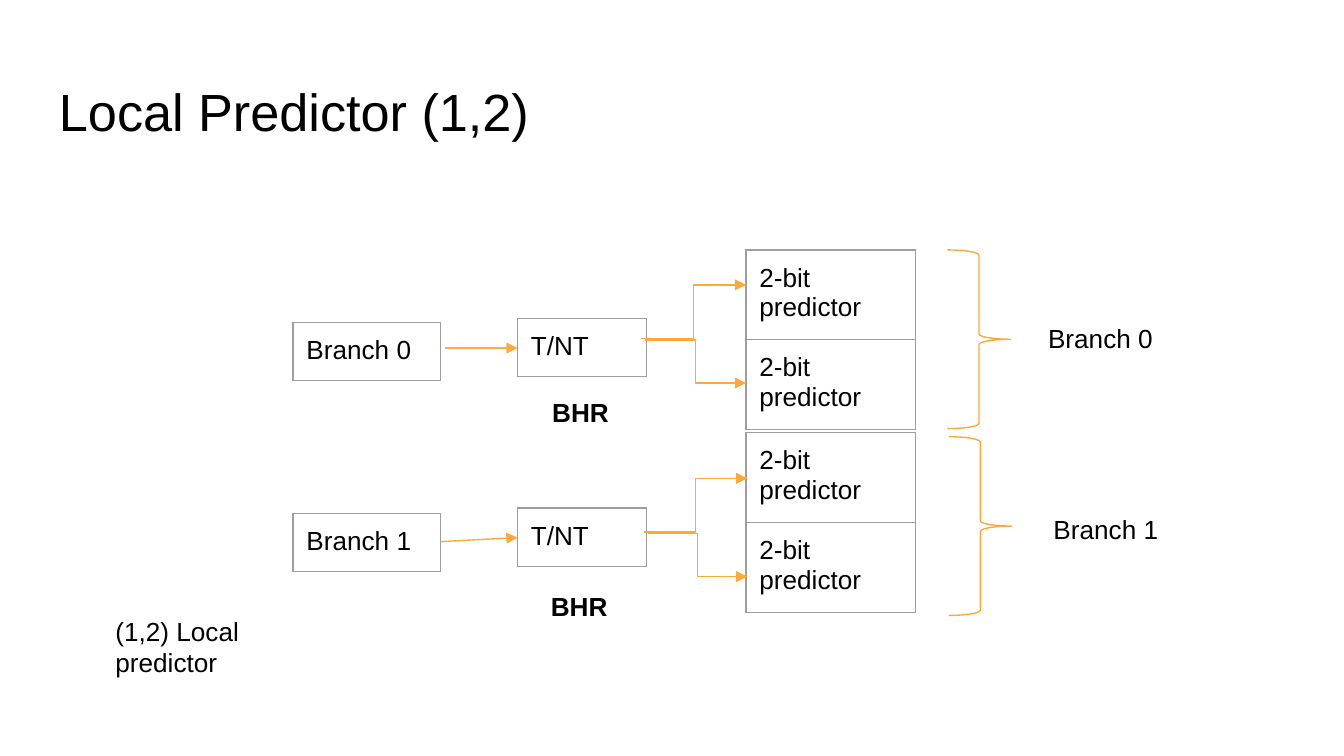
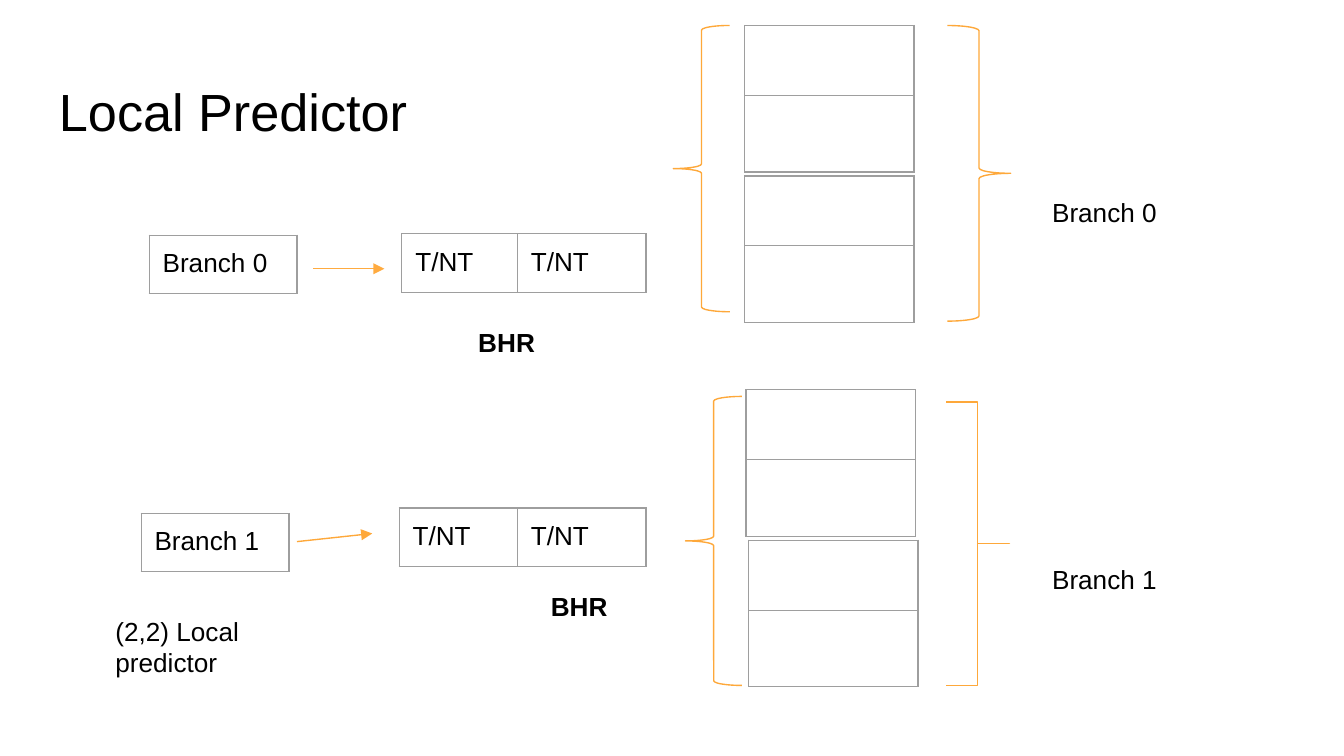
from dataclasses import dataclass
from typing import NamedTuple

from lxml.etree import SubElement as Sub
from pptx import Presentation
from pptx.dml.color import RGBColor as RGB
from pptx.enum.shapes import MSO_CONNECTOR as Link, MSO_SHAPE as Form
from pptx.enum.text import MSO_AUTO_SIZE as Fit
from pptx.oxml import parse_xml
from pptx.oxml.ns import nsdecls, qn
from pptx.util import Inches, Pt

FONT = "Arial"
INK = "000000"
GRAY = "9E9E9E"
AMBER = "FEA83A"
GOLD = "FFAB40"
WIDE = Inches(10)
THIN = 0.75
BODY = 14


class Style(NamedTuple):
    """Size and look shared by one sort of text box."""
    w: float
    h: float
    pad: float = 0.05
    size: int = BODY
    bold: bool = False
    grow: bool = True


HEAD = Style(9.32, 0.63, 0.1, 28, grow=False)
REG = Style(0.71, 0.63, 0.1, bold=True, grow=False)
NAME = Style(1.36, 0.34)
FOOT = Style(1.38, 0.57)


class Note(NamedTuple):
    """Text placed on a slide."""
    text: str
    x: float
    y: float
    style: Style


class Grid(NamedTuple):
    """One-column table with a text for each row."""
    x: float
    y: float
    w: float
    rows: tuple[float, ...]
    texts: tuple[str, ...]
    h: float


class Brace(NamedTuple):
    """Brace that spans a group of predictors."""
    form: Form
    x: float
    y: float
    w: float
    h: float
    curve: float | None = None


class Arrow(NamedTuple):
    """Connector with a triangle at its end."""
    x: float
    y: float
    to_x: float
    to_y: float
    kind: Link = Link.STRAIGHT
    color: str = AMBER


@dataclass
class Page:
    """All the parts of one slide."""
    notes: list[Note]
    grids: list[Grid]
    braces: list[Brace]
    arrows: list[Arrow]


def cell(text: str, x: float, y: float, w: float) -> Grid:
    """Describe a box with a single row."""
    return Grid(x, y, w, (0.42,), (text,), 0.43)


def pair(x: float, y: float, text: str = "", h: float = 1.09) -> Grid:
    """Describe a stack of two predictors."""
    return Grid(x, y, 1.26, (0.52, 0.57), (text, text), h)


def bent(x: float, y: float, to_x: float, to_y: float) -> Arrow:
    """Describe an arrow with an elbow."""
    return Arrow(x, y, to_x, to_y, Link.ELBOW)


def title(text: str) -> Note:
    """Describe the title of a slide."""
    return Note(text, 0.34, 0.49, HEAD)


def foot(text: str) -> Note:
    """Describe the caption at the lower left."""
    return Note(text, 0.76, 4.53, FOOT)


BITS = "2-bit predictor"
PAGES = [
    Page(
        [title("Local Predictor (1,2)"), foot("(1,2) Local predictor"),
         Note("BHR", 4.01, 2.85, REG), Note("BHR", 4, 4.29, REG),
         Note("Branch 0", 7.7, 2.35, NAME), Note("Branch 1", 7.74, 3.77, NAME)],
        [pair(5.55, 1.86, BITS, 1.27), pair(5.55, 3.22, BITS, 1.33),
         cell("T/NT", 3.85, 2.37, 0.96), cell("T/NT", 3.85, 3.78, 0.96),
         cell("Branch 0", 2.18, 2.4, 1.1), cell("Branch 1", 2.18, 3.82, 1.1)],
        [Brace(Form.RIGHT_BRACE, 7.05, 1.86, 0.47, 1.33),
         Brace(Form.RIGHT_BRACE, 7.06, 3.25, 0.47, 1.33)],
        [bent(4.77, 2.52, 5.55, 2.12), bent(4.8, 2.53, 5.55, 2.85),
         bent(4.79, 3.96, 5.56, 3.56), bent(4.82, 3.97, 5.56, 4.29),
         Arrow(3.31, 2.59, 3.85, 2.59, color=GOLD),
         Arrow(3.28, 4.03, 3.85, 4)],
    ),
    Page(
        [title("Local Predictor"), foot("(2,2) Local predictor"),
         Note("BHR", 3.46, 2.33, REG), Note("BHR", 4, 4.29, REG),
         Note("Branch 0", 7.73, 1.41, NAME), Note("Branch 1", 7.73, 4.14, NAME)],
        [pair(5.54, 0.19), pair(5.54, 1.31), pair(5.55, 2.9), pair(5.57, 4.02),
         cell("T/NT", 3.85, 1.74, 0.96), cell("T/NT", 2.99, 1.74, 1.81),
         cell("T/NT", 3.85, 3.78, 0.96), cell("T/NT", 2.97, 3.78, 1.83),
         cell("Branch 0", 1.11, 1.75, 1.1), cell("Branch 1", 1.05, 3.82, 1.1)],
        [Brace(Form.RIGHT_BRACE, 7.05, 0.19, 0.47, 2.2),
         Brace(Form.RIGHT_BRACE, 7.04, 2.99, 0.47, 2.11, 0),
         Brace(Form.LEFT_BRACE, 5.01, 0.19, 0.42, 2.13),
         Brace(Form.LEFT_BRACE, 5.1, 2.95, 0.42, 2.15)],
        [Arrow(2.33, 2, 2.86, 2, color=GOLD), Arrow(2.21, 4.03, 2.77, 3.97)],
    ),
]


def tint(code: str) -> RGB:
    """Turn a hex string into a colour."""
    return RGB.from_string(code)


def write(frame, text: str, size: int = BODY, bold: bool = False) -> None:
    """Set and format the text of a frame."""
    frame.text = text
    font = frame.paragraphs[0].font
    for item in [font, *(run.font for run in frame.paragraphs[0].runs)]:
        item.name, item.size, item.bold = FONT, Pt(size), bold
        item.color.rgb = tint(INK)


def pad(box, top: float) -> None:
    """Set the margins of a frame or a cell."""
    box.margin_left = box.margin_right = Inches(0.1)
    box.margin_top = box.margin_bottom = Inches(top)


def stroke(line, color: str) -> None:
    """Give a line its colour and width."""
    line.color.rgb = tint(color)
    line.width = Pt(THIN)


def edge(box) -> None:
    """Draw a thin border around a table cell."""
    props = box._tc.get_or_add_tcPr()
    for spot, side in enumerate("LRTB"):
        props.insert(spot, parse_xml(
            f'<a:ln{side} {nsdecls("a")} w="{Pt(THIN)}"><a:solidFill>'
            f'<a:srgbClr val="{GRAY}"/></a:solidFill></a:ln{side}>'))


def put_note(slide, note: Note) -> None:
    """Add a text box."""
    look = note.style
    box = slide.shapes.add_textbox(
        Inches(note.x), Inches(note.y), Inches(look.w), Inches(look.h))
    frame = box.text_frame
    frame.word_wrap = True
    frame.auto_size = Fit.SHAPE_TO_FIT_TEXT if look.grow else Fit.NONE
    pad(frame, look.pad)
    write(frame, note.text, look.size, look.bold)


def put_grid(slide, grid: Grid) -> None:
    """Add a table without fill."""
    shape = slide.shapes.add_table(
        len(grid.rows), 1, Inches(grid.x), Inches(grid.y),
        Inches(grid.w), Inches(grid.h))
    table = shape.table
    table.first_row = table.horz_banding = False
    for spot, (high, text) in enumerate(zip(grid.rows, grid.texts)):
        table.rows[spot].height = Inches(high)
        box = table.cell(spot, 0)
        box.fill.background()
        edge(box)
        pad(box, 0.1)
        write(box.text_frame, text)
    shape.height = Inches(grid.h)


def put_brace(slide, brace: Brace) -> None:
    """Add a brace."""
    shape = slide.shapes.add_shape(
        brace.form, Inches(brace.x), Inches(brace.y),
        Inches(brace.w), Inches(brace.h))
    shape.shadow.inherit = False
    shape.fill.background()
    stroke(shape.line, AMBER)
    if brace.curve is not None:
        shape.adjustments[0] = brace.curve


def put_arrow(slide, arrow: Arrow) -> None:
    """Add a connector with its arrowhead."""
    link = slide.shapes.add_connector(
        arrow.kind, Inches(arrow.x), Inches(arrow.y),
        Inches(arrow.to_x), Inches(arrow.to_y))
    stroke(link.line, arrow.color)
    Sub(link.line._get_or_add_ln(), qn("a:tailEnd"), type="triangle")
    Sub(link._element.spPr, qn("a:effectLst"))


def main() -> None:
    """Build and save the slides."""
    deck = Presentation()
    deck.slide_width, deck.slide_height = WIDE, WIDE * 9 // 16
    for page in PAGES:
        slide = deck.slides.add_slide(deck.slide_layouts[6])
        for note in page.notes:
            put_note(slide, note)
        for grid in page.grids:
            put_grid(slide, grid)
        for brace in page.braces:
            put_brace(slide, brace)
        for arrow in page.arrows:
            put_arrow(slide, arrow)
    deck.save("out.pptx")


if __name__ == "__main__":
    main()
